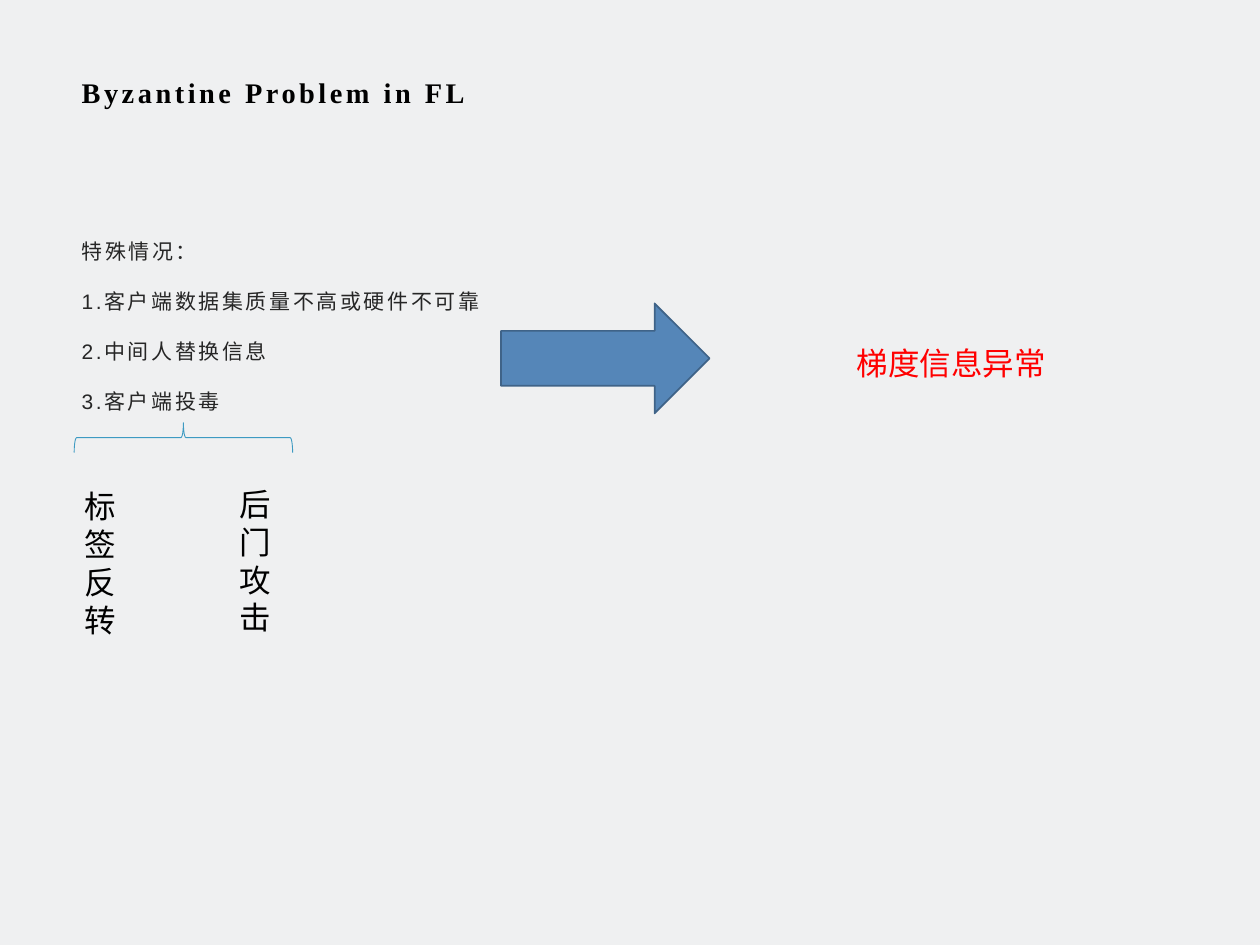
from pptx import Presentation
from pptx.dml.color import RGBColor
from pptx.enum.shapes import MSO_SHAPE
from pptx.enum.text import MSO_ANCHOR
from pptx.util import Pt

COLOURS = {
    "background": "EFF0F1",
    "title": "000000",
    "body": "262626",
    "alert": "FF0000",
    "arrow": "5586B8",
    "arrow_edge": "3F6388",
    "brace": "3D9AC2",
}
CASES = ["特殊情况：", "1.客户端数据集质量不高或硬件不可靠", "2.中间人替换信息", "3.客户端投毒"]
ATTACKS = [("标签反转", 41, 275), ("后门攻击", 129.6, 273.6)]


def colour(name):
    """Return the named palette colour."""
    return RGBColor.from_string(COLOURS[name])


def add_text(page, frame, lines, size, ink, font="Arial", bold=False,
             tracking=0, line_spacing=None, space_after=0, anchor=MSO_ANCHOR.TOP):
    """Add a wrapped text box with one paragraph per line."""
    box = page.shapes.add_textbox(*map(Pt, frame))
    text = box.text_frame
    text.word_wrap = True
    text.vertical_anchor = anchor
    for index, line in enumerate(lines):
        para = text.add_paragraph() if index else text.paragraphs[0]
        para.line_spacing = line_spacing
        para.space_after = Pt(space_after)
        span = para.add_run()
        span.text = line
        span.font.name = font
        span.font.size = Pt(size)
        span.font.bold = bold
        span.font.color.rgb = colour(ink)
        if tracking:
            span.font._element.set("spc", str(int(tracking * 100)))


def add_outline(page, kind, frame, edge, width, fill=None, rotation=0):
    """Add a preset shape with an edge and an optional fill."""
    shape = page.shapes.add_shape(kind, *map(Pt, frame))
    shape.shadow.inherit = False
    shape.rotation = rotation
    shape.line.color.rgb = colour(edge)
    shape.line.width = Pt(width)
    if fill:
        shape.fill.solid()
        shape.fill.fore_color.rgb = colour(fill)
    else:
        shape.fill.background()


def main():
    """Build and save the slide."""
    deck = Presentation()
    deck.slide_width, deck.slide_height = Pt(720), Pt(540)
    page = deck.slides.add_slide(deck.slide_layouts[6])
    page.background.fill.solid()
    page.background.fill.fore_color.rgb = colour("background")

    add_text(page, (39.6, 39.6, 640.8, 26), ["Byzantine Problem in FL"], 16.2, "title",
             font="Times New Roman", bold=True, tracking=2, anchor=MSO_ANCHOR.MIDDLE)
    add_text(page, (39.6, 128.2, 640.8, 318.2), CASES, 12, "body",
             tracking=1.5, line_spacing=1.3, space_after=10)
    add_outline(page, MSO_SHAPE.RIGHT_ARROW, (286.3, 173.4, 119.2, 62.8),
                "arrow_edge", 1, fill="arrow")
    add_text(page, (482.4, 193, 239.8, 28.8), ["梯度信息异常"], 18, "alert")
    add_outline(page, MSO_SHAPE.LEFT_BRACE, (96.3, 187.7, 17, 124.8),
                "brace", 0.5, rotation=90)
    for label, left, top in ATTACKS:
        add_text(page, (left, top, 21.6, 98.3), [label], 18, "title")

    deck.save("out.pptx")


if __name__ == "__main__":
    main()
